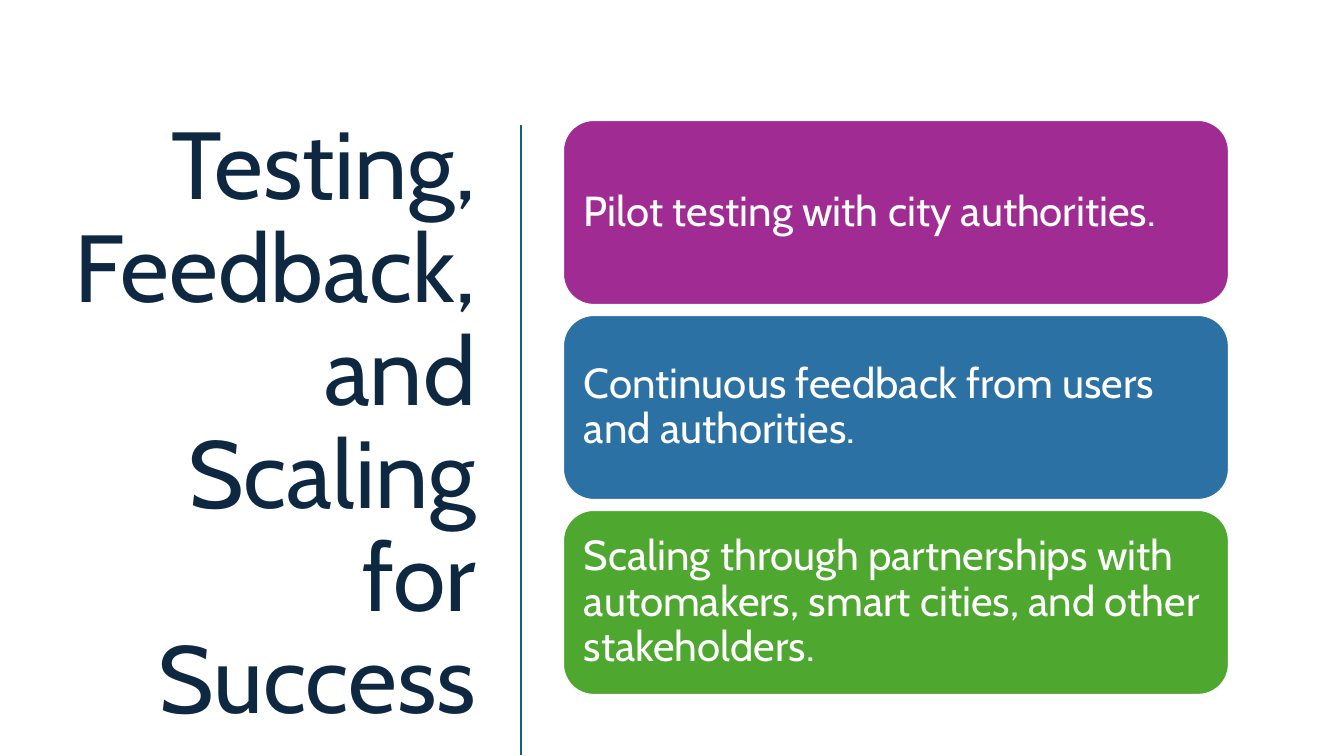
from lxml.etree import SubElement
from pptx import Presentation
from pptx.dml.color import RGBColor
from pptx.enum.shapes import MSO_CONNECTOR, MSO_SHAPE
from pptx.enum.text import MSO_ANCHOR, PP_ALIGN
from pptx.oxml.ns import qn
from pptx.util import Emu, Pt

# Content
NAVY = RGBColor(0x0E, 0x28, 0x41)
TEAL = RGBColor(0x15, 0x60, 0x82)
WHITE = RGBColor(0xFF, 0xFF, 0xFF)
PURPLE = RGBColor(0xA0, 0x2B, 0x93)
BLUE = RGBColor(0x2C, 0x71, 0xA4)
GREEN = RGBColor(0x4E, 0xA7, 0x2E)
FONT = "Cabin"

TITLE = "Testing, Feedback, and Scaling for Success"
CARDS = [
    ("Pilot testing with city authorities.", PURPLE),
    ("Continuous feedback from users and authorities.", BLUE),
    ("Scaling through partnerships with automakers, smart cities, "
     "and other stakeholders.", GREEN),
]

# Layout in px
SLIDE_W, SLIDE_H = 1344, 756
TITLE_BOX = (52, 118, 434, 616)
RULE_X, RULE_TOP, RULE_BOTTOM = 521, 125, 755
CARD_X, CARD_Y, CARD_W, CARD_H, CARD_GAP = 563, 120, 666, 185, 10
CARD_INSET = 12


def px(n):
    return Emu(round(n * 12192000 / SLIDE_W))


def write(tf, text, size, color, align):
    tf.word_wrap = True
    tf.vertical_anchor = MSO_ANCHOR.MIDDLE
    tf.text = text
    p = tf.paragraphs[0]
    p.alignment = align
    p.line_spacing = 0.9
    font = p.runs[0].font
    font.name, font.size, font.color.rgb = FONT, Pt(size), color


prs = Presentation()
prs.slide_width, prs.slide_height = px(SLIDE_W), px(SLIDE_H)
s = prs.slides.add_slide(prs.slide_layouts[6])

# Title
title = s.shapes.add_textbox(*map(px, TITLE_BOX))
write(title.text_frame, TITLE, 68, NAVY, PP_ALIGN.RIGHT)

# Vertical rule
rule = s.shapes.add_connector(MSO_CONNECTOR.STRAIGHT, px(RULE_X), px(RULE_TOP),
                              px(RULE_X), px(RULE_BOTTOM))
rule.line.color.rgb = TEAL
rule.line.width = Pt(2)
SubElement(rule._element.spPr, qn("a:effectLst"))

# Cards
for i, (text, color) in enumerate(CARDS):
    top = CARD_Y + i * (CARD_H + CARD_GAP)
    card = s.shapes.add_shape(MSO_SHAPE.ROUNDED_RECTANGLE, px(CARD_X), px(top),
                              px(CARD_W), px(CARD_H))
    card.shadow.inherit = False
    card.fill.solid()
    card.fill.fore_color.rgb = color
    card.line.color.rgb = WHITE
    card.line.width = Pt(1.5)
    tf = card.text_frame
    tf.margin_left = tf.margin_right = px(CARD_INSET)
    tf.margin_top = tf.margin_bottom = px(CARD_INSET)
    write(tf, text, 30, WHITE, PP_ALIGN.LEFT)

prs.save("out.pptx")
